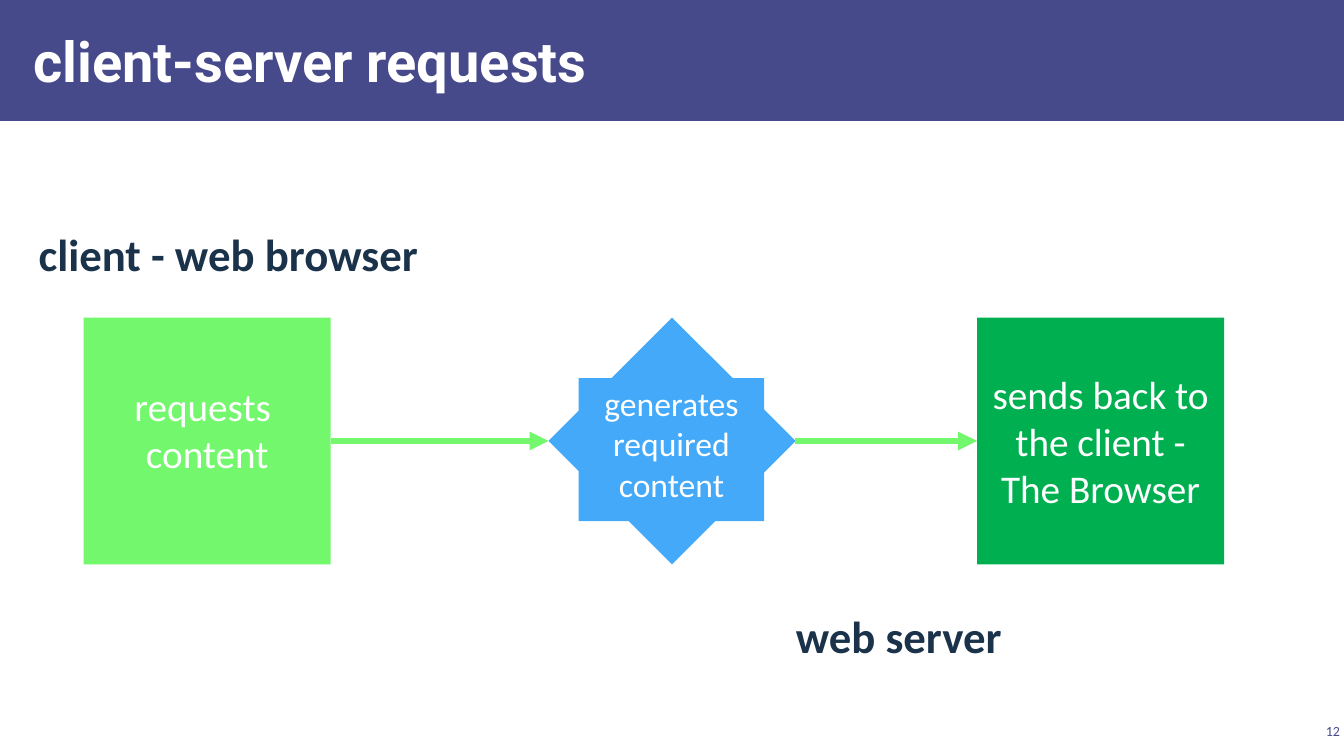
from lxml.etree import SubElement
from pptx import Presentation
from pptx.dml.color import RGBColor
from pptx.enum.shapes import MSO_CONNECTOR, MSO_SHAPE
from pptx.enum.text import MSO_ANCHOR, PP_ALIGN
from pptx.oxml.ns import qn
from pptx.util import Inches, Pt

INDIGO, NAVY, WHITE = "474A8A", "1A334B", "FFFFFF"
LIME, GREEN, BLUE = "72F76D", "00B050", "44A9F8"

TITLE = "client-server requests"
SLIDE_NUMBER = "12"
LABELS = [
    ("client - web browser", (0.14, 2.2, 4.25, 0.64)),
    ("web server", (5.86, 5.99, 6.11, 0.64)),
]
REQUEST = ["requests ", "content"]
PROCESSING = ["generates required", "content"]
RESPONSE = ["sends back to the client - The Browser"]

STEP_TOP, STEP_SIZE = 3.15, 2.45
REQUEST_LEFT, PROCESSING_LEFT, RESPONSE_LEFT = 0.83, 5.44, 9.69

STEP_FONT = {"name": "Calibri", "size": Pt(28), "color": WHITE}
PROCESSING_FONT = {**STEP_FONT, "size": Pt(24)}
LABEL_FONT = {"name": "Calibri", "size": Pt(32), "color": NAVY, "bold": True}
NUMBER_FONT = {"name": "Calibri", "size": Pt(10), "color": INDIGO}
TITLE_FONT = {"name": "Roboto", "size": Pt(40), "color": WHITE, "bold": True}


def rgb(value):
    return RGBColor.from_string(value)


def write(shape, lines, font, align=PP_ALIGN.CENTER, anchor=MSO_ANCHOR.MIDDLE,
          insets=(0.1, 0.05, 0.1, 0.05)):
    """Fill a shape with paragraphs; insets run left, top, right, bottom."""
    frame = shape.text_frame
    frame.word_wrap = True
    frame.vertical_anchor = anchor
    for side, inset in zip(("left", "top", "right", "bottom"), insets):
        setattr(frame, f"margin_{side}", Inches(inset))
    frame.text = "\n".join(lines)
    for paragraph in frame.paragraphs:
        paragraph.alignment = align
        for name, value in font.items():
            if name == "color":
                paragraph.font.color.rgb = rgb(value)
            else:
                setattr(paragraph.font, name, value)


def add_block(shapes, kind, box, fill):
    shape = shapes.add_shape(kind, *map(Inches, box))
    shape.shadow.inherit = False
    shape.fill.solid()
    shape.fill.fore_color.rgb = rgb(fill)
    shape.line.fill.background()
    return shape


def add_step(shapes, kind, left, fill):
    return add_block(shapes, kind, (left, STEP_TOP, STEP_SIZE, STEP_SIZE), fill)


def add_arrow(shapes, source, target):
    """Join the right side of source to the left side of target."""
    arrow = shapes.add_connector(MSO_CONNECTOR.STRAIGHT, 0, 0, 0, 0)
    arrow.begin_connect(source, 3)
    arrow.end_connect(target, 1)
    arrow.line.color.rgb = rgb(LIME)
    arrow.line.width = Pt(4.5)
    properties = arrow.element.spPr
    SubElement(properties.find(qn("a:ln")), qn("a:tailEnd"), type="triangle")
    SubElement(properties, qn("a:effectLst"))


def add_text(shapes, text, box, font, **layout):
    write(shapes.add_textbox(*map(Inches, box)), [text], font, **layout)


def main():
    presentation = Presentation()
    presentation.slide_width = Inches(13.33)
    presentation.slide_height = Inches(7.5)
    slide = presentation.slides.add_slide(presentation.slide_layouts[5])
    shapes = slide.shapes

    title = shapes.title
    title.left, title.top, title.width, title.height = map(
        Inches, (0.21, 0.11, 10.4, 0.97))
    write(title, [TITLE], TITLE_FONT, PP_ALIGN.LEFT,
          insets=(0.12, 0.04, 0.12, 0.04))
    band = add_block(shapes, MSO_SHAPE.RECTANGLE, (0, 0, 13.33, 1.2), INDIGO)
    title.element.addprevious(band.element)

    add_text(shapes, SLIDE_NUMBER, (12.86, 7.14, 0.47, 0.22), NUMBER_FONT,
             align=PP_ALIGN.RIGHT, insets=(0.04,) * 4)

    request = add_step(shapes, MSO_SHAPE.RECTANGLE, REQUEST_LEFT, LIME)
    write(request, REQUEST, STEP_FONT, insets=(0.1, 0.05, 0.1, 0.29))
    response = add_step(shapes, MSO_SHAPE.RECTANGLE, RESPONSE_LEFT, GREEN)
    write(response, RESPONSE, STEP_FONT)

    star = shapes.add_group_shape().shapes
    diamond = add_step(star, MSO_SHAPE.DIAMOND, PROCESSING_LEFT, BLUE)
    plate = add_block(star, MSO_SHAPE.RECTANGLE, (5.74, 3.75, 1.84, 1.42), BLUE)
    write(plate, PROCESSING, PROCESSING_FONT, anchor=MSO_ANCHOR.TOP)

    add_arrow(shapes, request, diamond)
    add_arrow(shapes, diamond, response)

    for text, box in LABELS:
        add_text(shapes, text, box, LABEL_FONT, anchor=MSO_ANCHOR.TOP)

    presentation.save("out.pptx")


if __name__ == "__main__":
    main()
